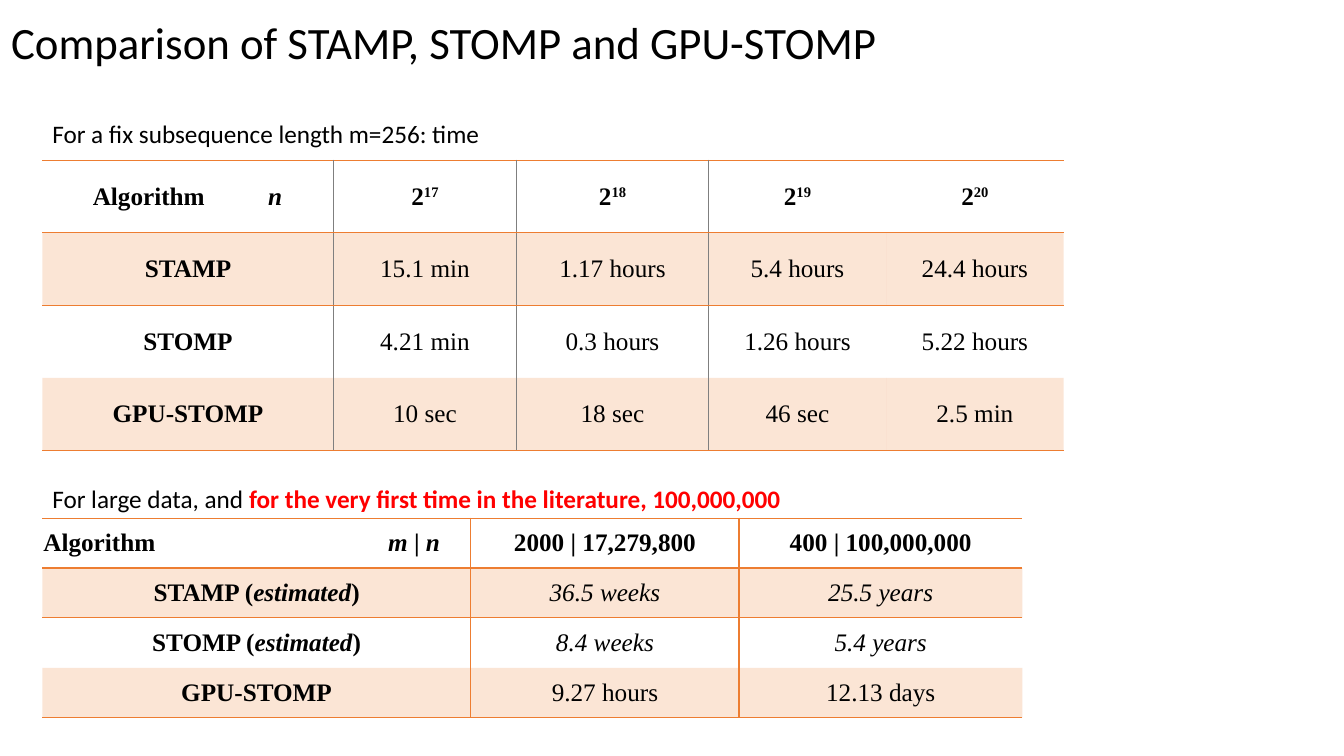
from lxml import etree
from pptx import Presentation
from pptx.dml.color import RGBColor
from pptx.enum import text
from pptx.oxml import ns
from pptx.util import Inches, Pt

ORANGE = RGBColor(0xED, 0x7D, 0x31)
GREY = RGBColor(0x7F, 0x7F, 0x7F)
BLACK = RGBColor(0, 0, 0)
RED = RGBColor(0xFF, 0, 0)
HEADING_FONT, TABLE_FONT = "Calibri", "Times New Roman"
PLAIN_STYLE = "{2D5ABB26-0587-4C30-8999-92F81FD0307C}"
LEFT = 0.42


def write_runs(paragraph, runs, font, size=18):
    """Add (words, marks) runs: b bold, i italic, s superscript, r red."""
    for words, marks in runs:
        run = paragraph.add_run()
        run.text = words
        run.font.name, run.font.size = font, Pt(size)
        run.font.bold, run.font.italic = "b" in marks, "i" in marks
        run.font.color.rgb = RED if "r" in marks else BLACK
        if "s" in marks:
            run.font._element.set("baseline", "30000")


def add_border(cell, side, color):
    line = etree.SubElement(cell._tc.get_or_add_tcPr(), ns.qn(f"a:ln{side}"), w=str(Pt(1)))
    fill = etree.SubElement(line, ns.qn("a:solidFill"))
    etree.SubElement(fill, ns.qn("a:srgbClr"), val=str(color))


prs = Presentation()
prs.slide_width, prs.slide_height = Inches(13.33), Inches(7.5)
slide = prs.slides.add_slide(prs.slide_layouts[6])

# Title and table captions: left, top, width, height, inset, size, wrap, runs
headings = [
    (0.11, 0.21, 12.31, 0.58, 0, 32, False,
     [("Comparison of STAMP, STOMP and GPU-STOMP", "")]),
    (LEFT, 1.12, 4.49, 0.4, 0.1, 18, False,
     [("For a fix subsequence length m=256: time", "")]),
    (LEFT, 4.75, 9.62, 0.4, 0.1, 18, True,
     [("For large data, and ", ""),
      ("for the very first time in the literature, 100,000,000", "br")]),
]
for left, top, width, height, inset, size, wrap, runs in headings:
    frame = slide.shapes.add_textbox(
        Inches(left), Inches(top), Inches(width), Inches(height)).text_frame
    frame.word_wrap = wrap
    frame.margin_left = frame.margin_right = Inches(inset)
    frame.margin_top = frame.margin_bottom = Inches(inset / 2)
    heading = frame.paragraphs[0]
    if size == 32:
        heading.line_spacing = 0.9
    write_runs(heading, runs, HEADING_FONT, size)

# Each cell is a list of runs
length_rows = [
    [[("Algorithm\t", "b"), ("n", "bi")]]
    + [[("2", "b"), (str(power), "bs")] for power in range(17, 21)]]
for algorithm, *times in [
    ("STAMP", "15.1 min", "1.17 hours", "5.4 hours", "24.4 hours"),
    ("STOMP", "4.21 min", "0.3 hours", "1.26 hours", "5.22 hours"),
    ("GPU-STOMP", "10 sec", "18 sec", "46 sec", "2.5 min"),
]:
    length_rows.append([[(algorithm, "b")]] + [[(time, "")] for time in times])

large_rows = [[
    [("Algorithm\t", "b"), ("m ", "bi"), ("|", "b"), (" n", "bi")],
    [("2000 | 17,279,800", "b")],
    [("400 | 100,000,000", "b")],
]]
for algorithm, *times in [("STAMP", "36.5 weeks", "25.5 years"),
                          ("STOMP", "8.4 weeks", "5.4 years")]:
    large_rows.append([[(algorithm + " (", "b"), ("estimated", "bi"), (")", "b")]]
                      + [[(time, "i")] for time in times])
large_rows.append([[("GPU-STOMP", "b")], [("9.27 hours", "")], [("12.13 days", "")]])

# Top, row height, column widths, colour of column rules, header inset, header tab, rows
tables = [
    (1.59, 0.72, [2.89, 1.81, 1.91, 1.76, 1.76], GREY, 0.5, 1.74, length_rows),
    (5.14, 0.495, [4.25, 2.66, 2.81], ORANGE, 0.01, 3.42, large_rows),
]
for top, row_height, widths, rule_color, header_inset, header_tab, rows in tables:
    table = slide.shapes.add_table(
        len(rows), len(widths), Inches(LEFT), Inches(top),
        Inches(sum(widths)), Inches(row_height * len(rows))).table
    table.first_row = table.horz_banding = False
    table._tbl.tblPr.find(ns.qn("a:tableStyleId")).text = PLAIN_STYLE
    for column, width in zip(table.columns, widths):
        column.width = Inches(width)

    for r, row in enumerate(rows):
        for c, runs in enumerate(row):
            cell = table.cell(r, c)
            cell.vertical_anchor = text.MSO_ANCHOR.MIDDLE
            cell.margin_left = cell.margin_right = Inches(0.01)
            cell.margin_top = cell.margin_bottom = 0
            entry = cell.text_frame.paragraphs[0]
            if r == c == 0:
                cell.margin_left = Inches(header_inset)
                entry.alignment = text.PP_ALIGN.LEFT
                tabs = etree.SubElement(entry._p.get_or_add_pPr(), ns.qn("a:tabLst"))
                etree.SubElement(tabs, ns.qn("a:tab"), pos=str(Inches(header_tab)), algn="l")
            else:
                entry.alignment = text.PP_ALIGN.CENTER
                entry.space_after = Pt(2)
            write_runs(entry, runs, TABLE_FONT)

            if c in (1, 2):
                add_border(cell, "L", rule_color)
            if c in (0, 1):
                add_border(cell, "R", rule_color)
            if r in (0, 1):
                add_border(cell, "T", ORANGE)
            if r in (0, len(rows) - 1):
                add_border(cell, "B", ORANGE)
            if r % 2:
                cell.fill.solid()
                cell.fill.fore_color.rgb = ORANGE
                tint = cell._tc.tcPr.find(ns.qn("a:solidFill"))[0]
                etree.SubElement(tint, ns.qn("a:alpha"), val="20000")
            else:
                cell.fill.background()

prs.save("out.pptx")
